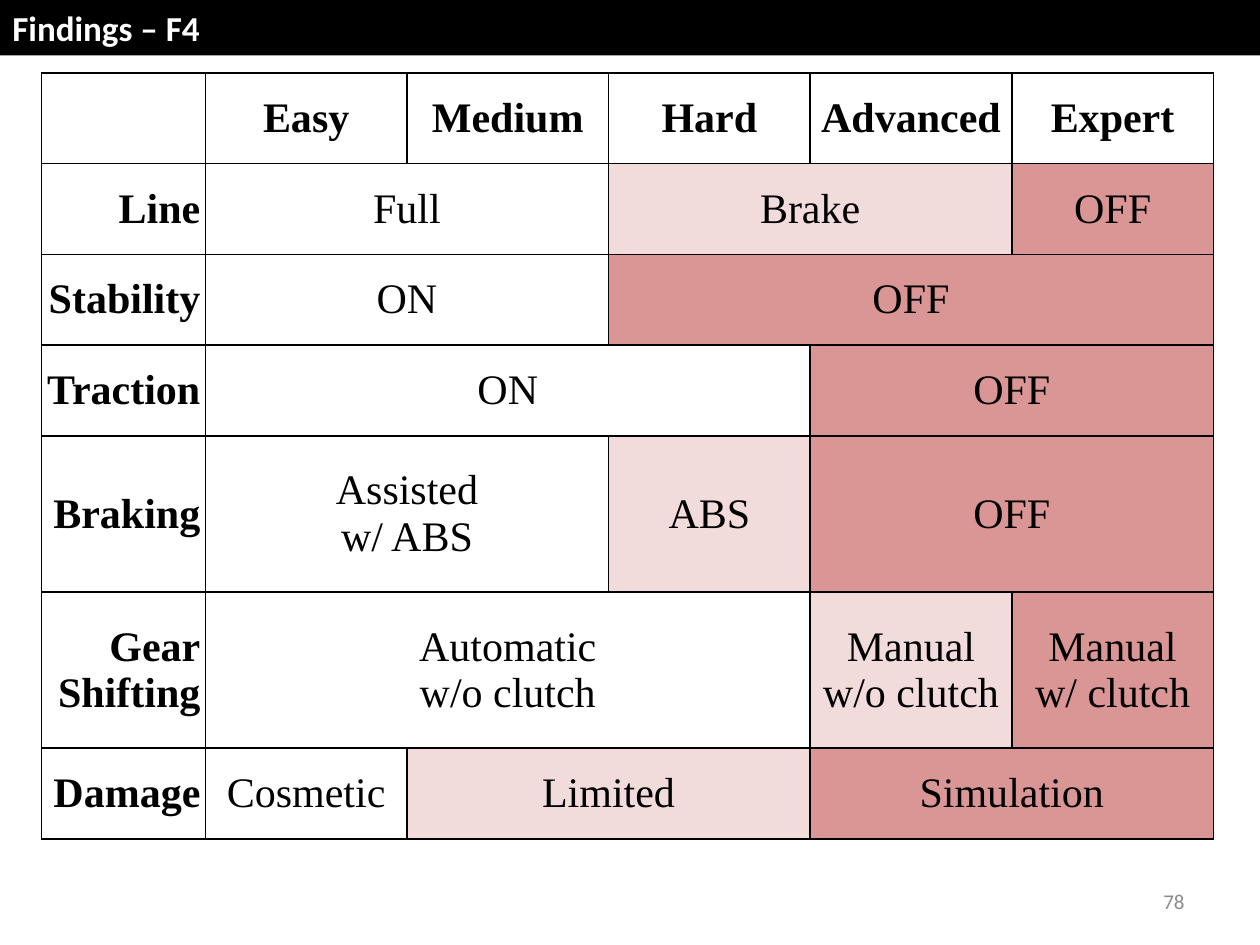
from typing import NamedTuple

from lxml.etree import SubElement
from pptx import Presentation
from pptx.dml.color import RGBColor
from pptx.enum.shapes import MSO_SHAPE
from pptx.enum.text import MSO_ANCHOR, MSO_AUTO_SIZE, PP_ALIGN
from pptx.oxml.ns import qn
from pptx.util import Pt

EMU_PER_PX = 9144
COLORS = {
    "black": "000000",
    "white": "FFFFFF",
    "pink": "F2DCDB",
    "red": "D99694",
    "gray": "8C8C8C",
}
COLUMN_WIDTHS = [130] + [160] * 5
ROW_HEIGHTS = [72] * 4 + [124] * 2 + [72]
LEVELS = ["Easy", "Medium", "Hard", "Advanced", "Expert"]


class Setting(NamedTuple):
    text: str
    span: int = 1
    fill: str = "white"
    bold: bool = False
    align: PP_ALIGN = PP_ALIGN.CENTER


class Assist(NamedTuple):
    label: str
    settings: list[Setting]


ASSISTS = [
    Assist("Line", [Setting("Full", 2), Setting("Brake", 2, "pink"), Setting("OFF", 1, "red")]),
    Assist("Stability", [Setting("ON", 2), Setting("OFF", 3, "red")]),
    Assist("Traction", [Setting("ON", 3), Setting("OFF", 2, "red")]),
    Assist("Braking", [
        Setting("Assisted\nw/ ABS", 2), Setting("ABS", 1, "pink"), Setting("OFF", 2, "red"),
    ]),
    Assist("Gear\nShifting", [
        Setting("Automatic\nw/o clutch", 3),
        Setting("Manual\nw/o clutch", 1, "pink"),
        Setting("Manual\nw/ clutch", 1, "red"),
    ]),
    Assist("Damage", [
        Setting("Cosmetic"), Setting("Limited", 2, "pink"), Setting("Simulation", 2, "red"),
    ]),
]


def px(length: int) -> int:
    return length * EMU_PER_PX


def box(left: int, top: int, width: int, height: int) -> list[int]:
    return [px(length) for length in (left, top, width, height)]


def rgb(name: str) -> RGBColor:
    return RGBColor.from_string(COLORS[name])


def write(text_frame, text: str, font_name: str, size: int, color: str,
          bold: bool, align: PP_ALIGN) -> None:
    text_frame.word_wrap = True
    text_frame.text = text
    for paragraph in text_frame.paragraphs:
        paragraph.alignment = align
        font = paragraph.font
        font.name, font.size, font.bold = font_name, Pt(size), bold
        font.color.rgb = rgb(color)


def style_cell(cell, fill: str) -> None:
    properties = cell._tc.get_or_add_tcPr()
    for side in ("lnL", "lnR", "lnT", "lnB"):
        line = SubElement(properties, qn(f"a:{side}"), w=str(Pt(1)))
        solid = SubElement(line, qn("a:solidFill"))
        SubElement(solid, qn("a:srgbClr"), val=COLORS["black"])
    cell.fill.solid()
    cell.fill.fore_color.rgb = rgb(fill)
    cell.margin_left = cell.margin_right = px(4)
    cell.margin_top = cell.margin_bottom = px(3)
    cell.vertical_anchor = MSO_ANCHOR.MIDDLE


def fill_row(table, row: int, settings: list[Setting]) -> None:
    column = 0
    for setting in settings:
        end = column + setting.span
        for covered in range(column, end):
            style_cell(table.cell(row, covered), setting.fill)
        cell = table.cell(row, column)
        if setting.span > 1:
            cell.merge(table.cell(row, end - 1))
        write(cell.text_frame, setting.text, "Times New Roman", 24, "black",
              setting.bold, setting.align)
        column = end


def add_assist_table(slide) -> None:
    table = slide.shapes.add_table(
        len(ROW_HEIGHTS), len(COLUMN_WIDTHS),
        *box(33, 58, sum(COLUMN_WIDTHS), sum(ROW_HEIGHTS)),
    ).table
    for column, width in zip(table.columns, COLUMN_WIDTHS):
        column.width = px(width)
    for row, height in zip(table.rows, ROW_HEIGHTS):
        row.height = px(height)
    fill_row(table, 0, [Setting(level, bold=True) for level in ["", *LEVELS]])
    for row, assist in enumerate(ASSISTS, start=1):
        label = Setting(assist.label, bold=True, align=PP_ALIGN.RIGHT)
        fill_row(table, row, [label, *assist.settings])


def add_page_number(slide, number: str) -> None:
    text_frame = slide.shapes.add_textbox(*box(717, 695, 233, 40)).text_frame
    text_frame.vertical_anchor = MSO_ANCHOR.MIDDLE
    write(text_frame, number, "Calibri", 12, "gray", False, PP_ALIGN.RIGHT)


def add_title_bar(slide, title: str) -> None:
    shape = slide.shapes.add_shape(MSO_SHAPE.RECTANGLE, *box(0, 0, 1000, 44))
    shape.shadow.inherit = False
    shape.fill.solid()
    shape.fill.fore_color.rgb = rgb("black")
    shape.line.fill.background()
    text_frame = shape.text_frame
    text_frame.vertical_anchor = MSO_ANCHOR.TOP
    text_frame.auto_size = MSO_AUTO_SIZE.SHAPE_TO_FIT_TEXT
    write(text_frame, title, "Calibri", 20, "white", True, PP_ALIGN.LEFT)


def main() -> None:
    presentation = Presentation()
    presentation.slide_width, presentation.slide_height = px(1000), px(750)
    slide = presentation.slides.add_slide(presentation.slide_layouts[6])
    add_page_number(slide, "78")
    add_assist_table(slide)
    add_title_bar(slide, "Findings – F4")
    presentation.save("out.pptx")


if __name__ == "__main__":
    main()
